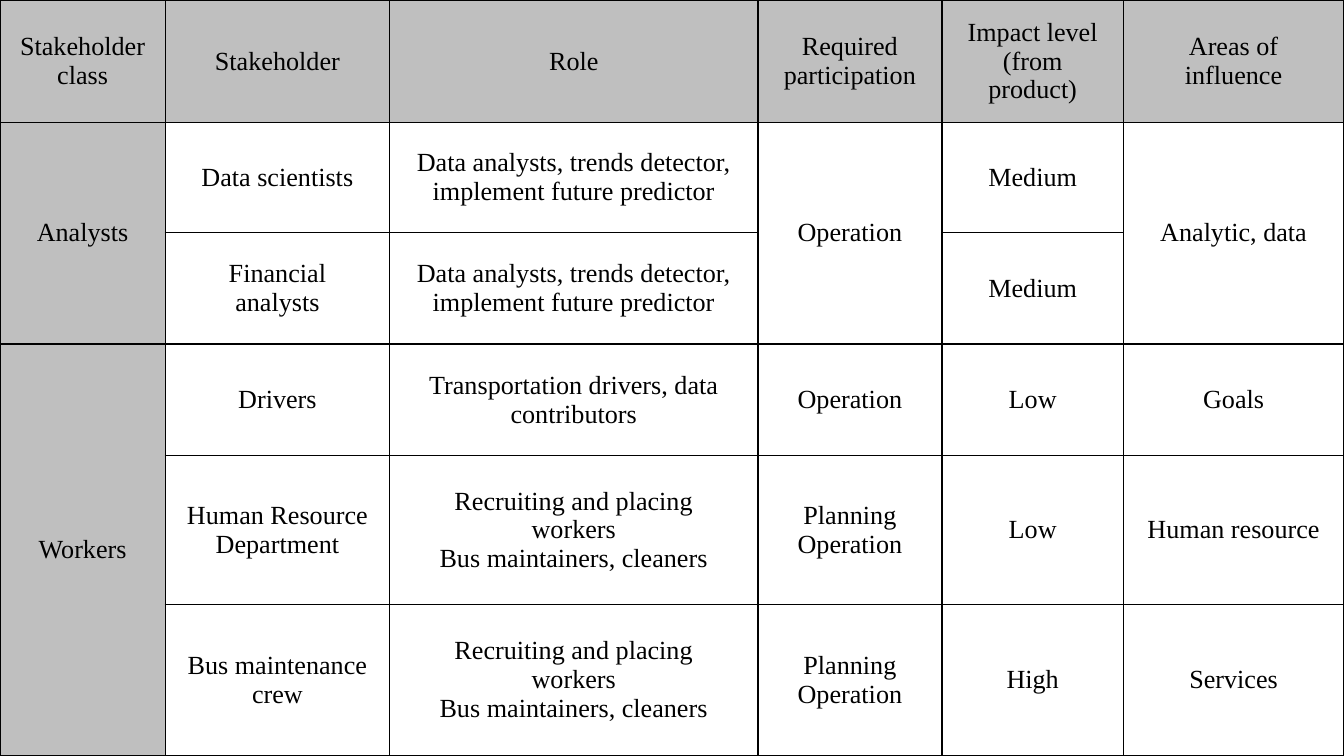
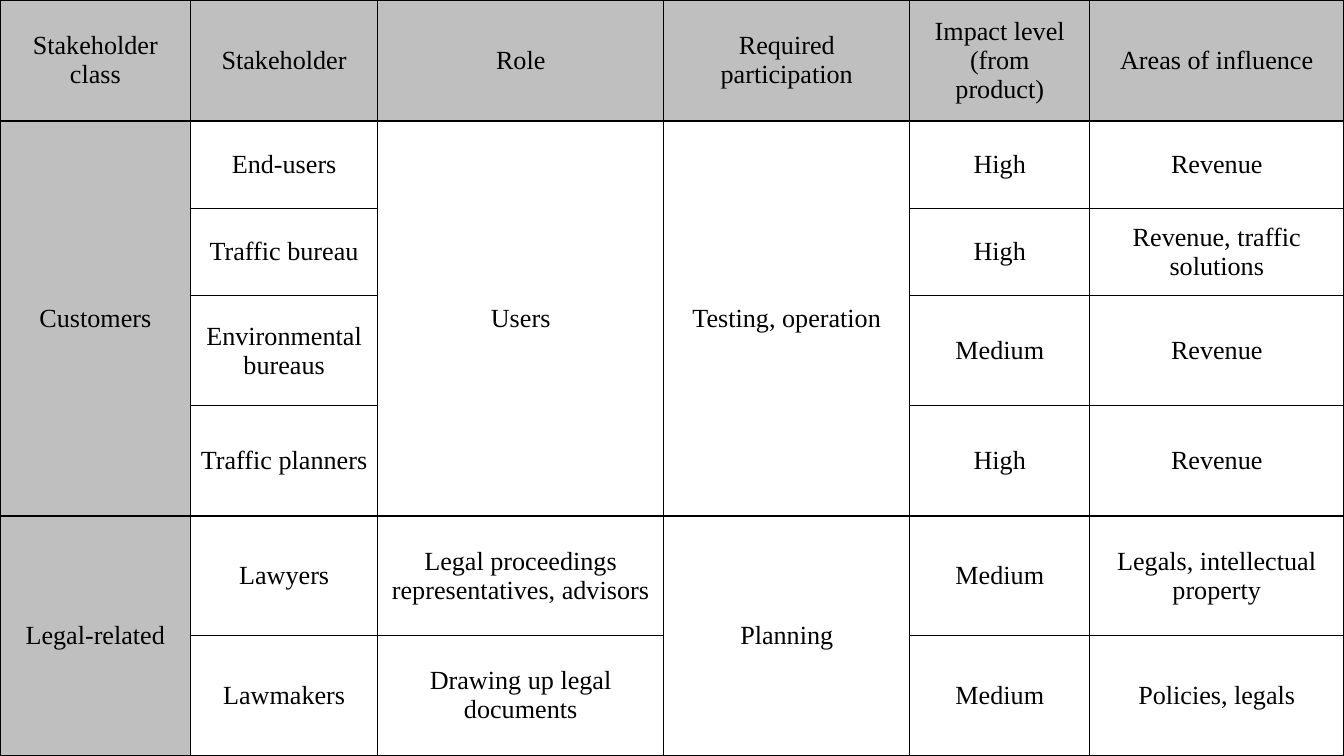
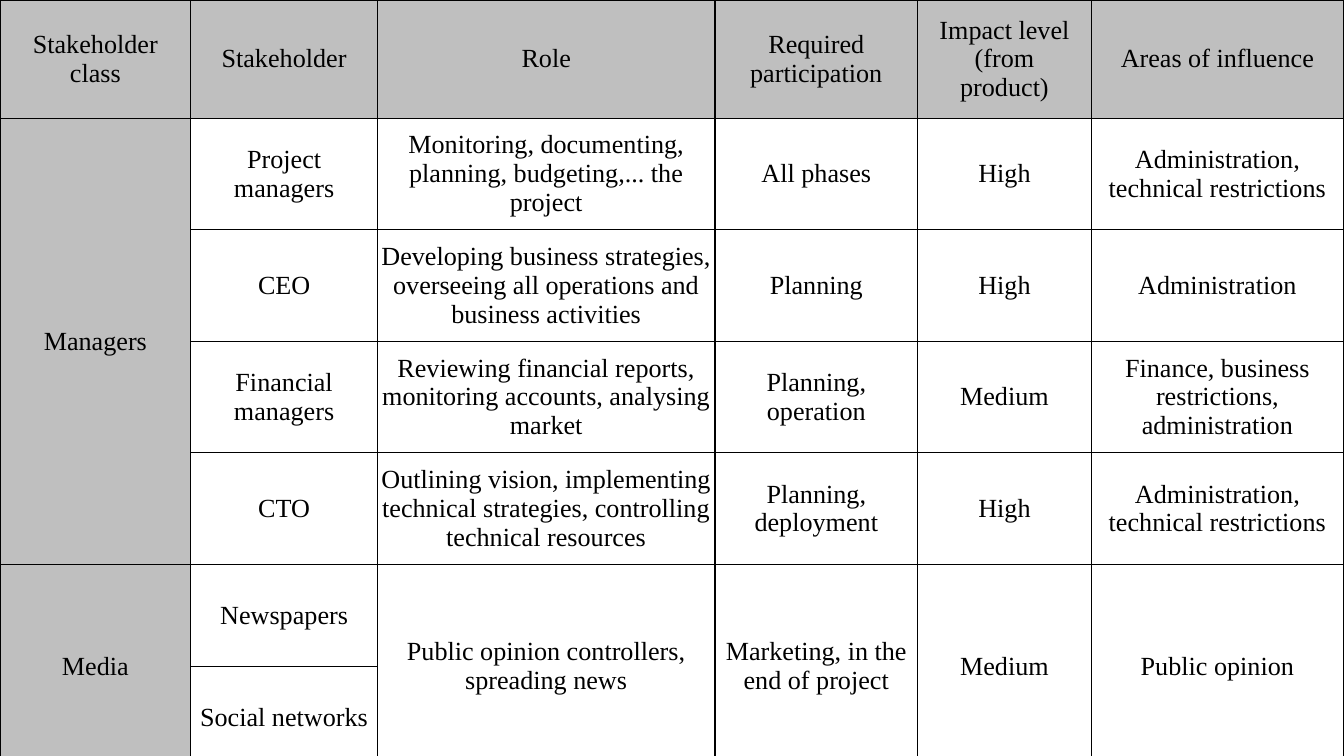
from dataclasses import dataclass
from itertools import product
from typing import NamedTuple, Optional

from lxml.etree import SubElement
from pptx import Presentation
from pptx.dml.color import RGBColor
from pptx.enum.text import MSO_ANCHOR as Anchor, PP_ALIGN as Align
from pptx.oxml.ns import qn
from pptx.util import Inches, Length, Pt


class Padding(NamedTuple):
    side: Length
    edge: Length


@dataclass(frozen=True)
class Theme:
    font: str = "Times New Roman"
    size: Length = Pt(14)
    ink: str = "000000"
    heading_fill: str = "BFBFBF"
    body_fill: str = "FFFFFF"
    border: Length = Pt(0.75)
    roomy: Padding = Padding(Pt(10.7), Inches(0.07))
    tight: Padding = Padding(Pt(1.9), Inches(0.05))


@dataclass(frozen=True)
class StakeholderTable:
    """Widths and heights in inches; None in the body joins the cell above."""
    columns: tuple[float, ...]
    rows: tuple[float, ...]
    tight_cells: frozenset[tuple[int, int]]
    body: tuple[tuple[Optional[str], ...], ...]


THEME = Theme()
SLIDE_WIDTH = Inches(10)
SLIDE_HEIGHT = SLIDE_WIDTH * 9 // 16
HEADINGS = ("Stakeholder class", "Stakeholder", "Role", "Required participation",
            "Impact level (from product)", "Areas of influence")
ROLE = HEADINGS.index("Role")
ALL_BODY = frozenset(product(range(1, 7), range(1, len(HEADINGS))))
ANALYST_ROLE = "Data analysts, trends detector, implement future predictor"
CREW_ROLE = "Recruiting and placing workers\nBus maintainers, cleaners"

TABLES = (
    # Analysts and workers
    StakeholderTable(
        columns=(1.23, 1.67, 2.74, 1.37, 1.35, 1.64),
        rows=(0.91, 0.82, 0.83, 0.83, 1.11, 1.12),
        tight_cells=frozenset((row, ROLE) for row in (1, 2, 3)),
        body=(
            ("Analysts", "Data scientists", ANALYST_ROLE, "Operation", "Medium", "Analytic, data"),
            (None, "Financial analysts", ANALYST_ROLE, None, "Medium", None),
            ("Workers", "Drivers", "Transportation drivers, data contributors",
             "Operation", "Low", "Goals"),
            (None, "Human Resource Department", CREW_ROLE,
             "Planning\nOperation", "Low", "Human resource"),
            (None, "Bus maintenance\ncrew", CREW_ROLE,
             "Planning\nOperation", "High", "Services"),
        ),
    ),
    # Customers and legal
    StakeholderTable(
        columns=(1.42, 1.39, 2.13, 1.83, 1.34, 1.89),
        rows=(0.9, 0.65, 0.65, 0.82, 0.82, 0.89, 0.89),
        tight_cells=ALL_BODY,
        body=(
            ("Customers", "End-users", "Users", "Testing, operation", "High", "Revenue"),
            (None, "Traffic bureau", None, None, "High", "Revenue, traffic solutions"),
            (None, "Environmental bureaus", None, None, "Medium", "Revenue"),
            (None, "Traffic planners", None, None, "High", "Revenue"),
            ("Legal-related", "Lawyers", "Legal proceedings representatives, advisors",
             "Planning", "Medium", "Legals, intellectual property"),
            (None, "Lawmakers", "Drawing up legal documents",
             None, "Medium", "Policies, legals"),
        ),
    ),
    # Managers and media
    StakeholderTable(
        columns=(1.42, 1.39, 2.51, 1.51, 1.29, 1.88),
        rows=(0.88, 0.83, 0.83, 0.83, 0.83, 0.76, 0.76),
        tight_cells=ALL_BODY,
        body=(
            ("Managers", "Project managers",
             "Monitoring, documenting, planning, budgeting,... the project",
             "All phases", "High", "Administration, technical restrictions"),
            (None, "CEO",
             "Developing business strategies, overseeing all operations and business activities",
             "Planning", "High", "Administration"),
            (None, "Financial managers",
             "Reviewing financial reports, monitoring accounts, analysing market",
             "Planning, operation", "Medium", "Finance, business restrictions, administration"),
            (None, "CTO",
             "Outlining vision, implementing technical strategies, controlling technical resources",
             "Planning, deployment", "High", "Administration, technical restrictions"),
            ("Media", "Newspapers", "Public opinion controllers, spreading news",
             "Marketing, in the end of project", "Medium", "Public opinion"),
            (None, "Social networks", None, None, None, None),
        ),
    ),
)


def add_borders(cell) -> None:
    """Line all four sides of a cell."""
    properties = cell._tc.get_or_add_tcPr()
    for side in ("a:lnL", "a:lnR", "a:lnT", "a:lnB"):
        line = SubElement(properties, qn(side), w=str(int(THEME.border)))
        fill = SubElement(line, qn("a:solidFill"))
        SubElement(fill, qn("a:srgbClr"), val=THEME.ink)


def write_text(cell, text: str, *, padding: Padding) -> None:
    """Write centred text, one paragraph per line."""
    cell.vertical_anchor = Anchor.MIDDLE
    cell.margin_left = cell.margin_right = padding.side
    cell.margin_top = cell.margin_bottom = padding.edge
    cell.text_frame.text = text
    for para in cell.text_frame.paragraphs:
        para.alignment = Align.CENTER
        for span in para.runs:
            span.font.name = THEME.font
            span.font.size = THEME.size
            span.font.color.rgb = RGBColor.from_string(THEME.ink)


def draw_table(page, content: StakeholderTable) -> None:
    """Fill the slide with one stakeholder table."""
    grid = (HEADINGS, *content.body)
    table = page.shapes.add_table(len(grid), len(HEADINGS), 0, 0,
                                  SLIDE_WIDTH, SLIDE_HEIGHT).table
    table.first_row = table.horz_banding = False
    for column, width in zip(table.columns, content.columns):
        column.width = Inches(width)
    for row, height in zip(table.rows, content.rows):
        row.height = Inches(height)

    # Cells
    for row, column in product(range(len(grid)), range(len(HEADINGS))):
        cell = table.cell(row, column)
        is_heading = row == 0 or column == 0
        add_borders(cell)
        cell.fill.solid()
        cell.fill.fore_color.rgb = RGBColor.from_string(
            THEME.heading_fill if is_heading else THEME.body_fill)
        text = grid[row][column]
        if text is not None:
            is_tight = (row, column) in content.tight_cells
            write_text(cell, text, padding=THEME.tight if is_tight else THEME.roomy)

    # Vertical spans
    for column in range(len(HEADINGS)):
        starts = [row for row, texts in enumerate(grid) if texts[column] is not None]
        for start, following in zip(starts, starts[1:] + [len(grid)]):
            if following - start > 1:
                table.cell(start, column).merge(table.cell(following - 1, column))


def main() -> None:
    deck = Presentation()
    deck.slide_width, deck.slide_height = SLIDE_WIDTH, SLIDE_HEIGHT
    blank = deck.slide_layouts.get_by_name("Blank")
    for content in TABLES:
        draw_table(deck.slides.add_slide(blank), content)
    deck.save("out.pptx")


if __name__ == "__main__":
    main()
